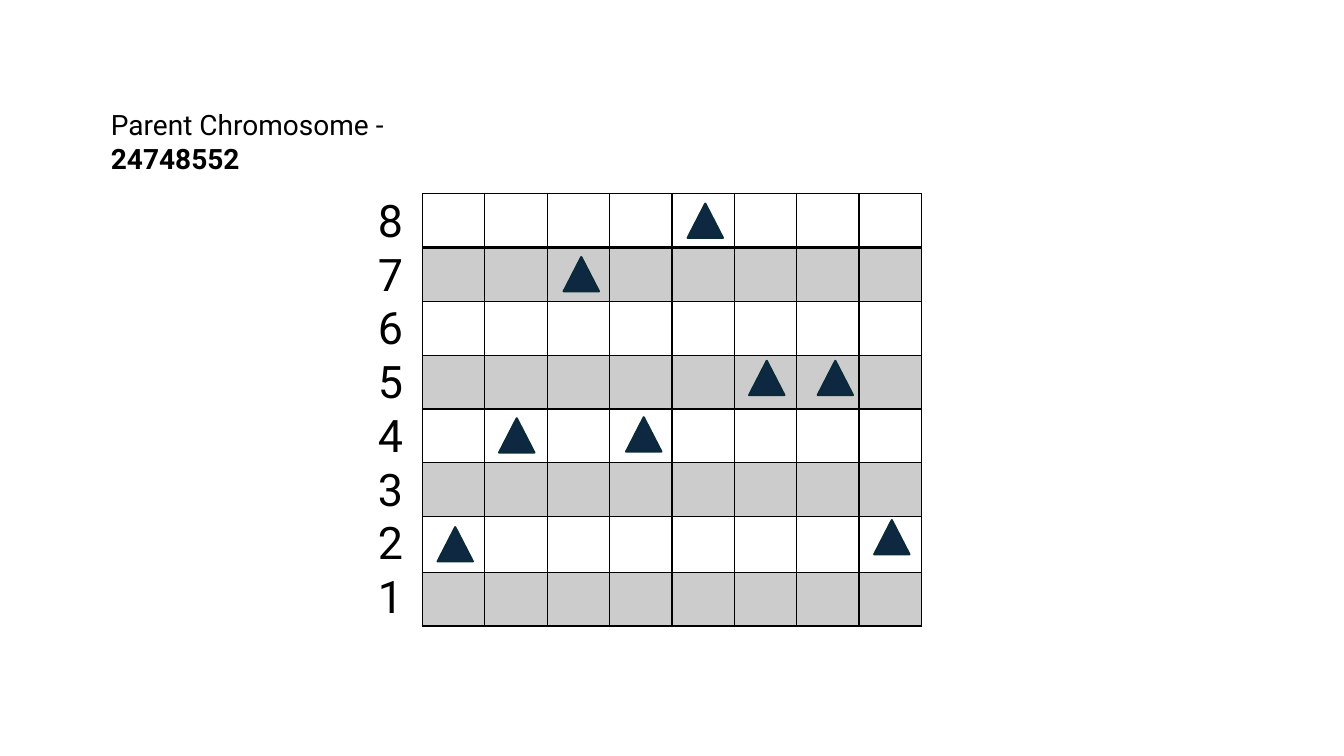
from dataclasses import dataclass

from lxml import etree
from pptx import Presentation
from pptx.dml.color import RGBColor
from pptx.enum.shapes import MSO_SHAPE
from pptx.enum.text import MSO_ANCHOR, MSO_AUTO_SIZE, PP_ALIGN
from pptx.oxml.ns import qn
from pptx.util import Inches, Pt

TRIANGLE = MSO_SHAPE.ISOSCELES_TRIANGLE
TOP = MSO_ANCHOR.TOP
LEFT = PP_ALIGN.LEFT
GROW = MSO_AUTO_SIZE.SHAPE_TO_FIT_TEXT

BLACK = RGBColor(0x00, 0x00, 0x00)
NAVY = RGBColor(0x0E, 0x28, 0x41)
DARK_TEAL = RGBColor(0x09, 0x2A, 0x39)

FONT = "Roboto"
SIZE = 8
BOARD_WIDTH = 4.95
BOARD_HEIGHT = 4.29
TALL_ROW = 6
TALL_HEIGHT = 0.55
ROW_HEIGHT = (BOARD_HEIGHT - TALL_HEIGHT) / (SIZE - 1)


@dataclass(frozen=True)
class Queen:
    left: float
    top: float


QUEENS = [
    Queen(4.34, 5.23),
    Queen(4.95, 4.15),
    Queen(5.59, 2.55),
    Queen(6.21, 4.14),
    Queen(6.82, 2.02),
    Queen(7.43, 3.58),
    Queen(8.11, 3.58),
    Queen(8.67, 5.16),
]


def write_run(paragraph, text: str, *, size: int, bold: bool = False) -> None:
    run = paragraph.add_run()
    run.text = text
    run.font.name = FONT
    run.font.size = Pt(size)
    run.font.bold = bold
    run.font.color.rgb = BLACK


def add_heading(slide) -> None:
    heading = slide.shapes.title
    heading.left, heading.top = Inches(1), Inches(1.02)
    heading.width, heading.height = Inches(4.11), Inches(0.44)
    frame = heading.text_frame
    frame.word_wrap = True
    frame.auto_size = GROW
    frame.vertical_anchor = TOP
    paragraph = frame.paragraphs[0]
    paragraph.alignment = LEFT
    write_run(paragraph, "Parent Chromosome - ", size=20)
    write_run(paragraph, "24748552", size=20, bold=True)


def add_border(cell, side: str, points: float) -> None:
    properties = cell._tc.get_or_add_tcPr()
    border = etree.SubElement(properties, qn(f"a:ln{side}"), w=str(Pt(points)))
    fill = etree.SubElement(border, qn("a:solidFill"))
    etree.SubElement(fill, qn("a:srgbClr"), val=str(BLACK))


def shade(cell) -> None:
    cell.fill.solid()
    cell.fill.fore_color.rgb = BLACK
    color = cell._tc.tcPr.find(qn("a:solidFill")).find(qn("a:srgbClr"))
    etree.SubElement(color, qn("a:alpha"), val="20000")


def add_board(slide) -> None:
    board = slide.shapes.add_table(
        SIZE, SIZE, Inches(4.19), Inches(1.92),
        Inches(BOARD_WIDTH), Inches(BOARD_HEIGHT),
    ).table
    board.first_row = False
    board.horz_banding = False
    for column in board.columns:
        column.width = Inches(BOARD_WIDTH / SIZE)
    for index, row in enumerate(board.rows):
        row.height = Inches(TALL_HEIGHT if index == TALL_ROW else ROW_HEIGHT)
        for cell in row.cells:
            add_border(cell, "L", 1)
            add_border(cell, "R", 1)
            add_border(cell, "T", 2 if index == 1 else 1)
            add_border(cell, "B", 2 if index == 0 else 1)
            if index % 2:
                shade(cell)
            else:
                cell.fill.background()


def add_rank_labels(slide) -> None:
    ranks = slide.shapes.add_textbox(
        Inches(3.65), Inches(1.86), Inches(0.44), Inches(4.41)
    )
    frame = ranks.text_frame
    frame.word_wrap = False
    frame.auto_size = GROW
    for rank in range(SIZE, 0, -1):
        paragraph = frame.paragraphs[0] if rank == SIZE else frame.add_paragraph()
        write_run(paragraph, str(rank), size=32)


def add_queen(slide, queen: Queen) -> None:
    marker = slide.shapes.add_shape(
        TRIANGLE, Inches(queen.left), Inches(queen.top), Inches(0.35), Inches(0.34)
    )
    marker.shadow.inherit = False
    marker.fill.solid()
    marker.fill.fore_color.rgb = NAVY
    marker.line.color.rgb = DARK_TEAL
    marker.line.width = Pt(1.5)


def main() -> None:
    presentation = Presentation()
    presentation.slide_width = Inches(13.33)
    presentation.slide_height = Inches(7.5)
    slide = presentation.slides.add_slide(presentation.slide_layouts[5])
    add_heading(slide)
    add_board(slide)
    add_rank_labels(slide)
    for queen in QUEENS:
        add_queen(slide, queen)
    presentation.save("out.pptx")


if __name__ == "__main__":
    main()
